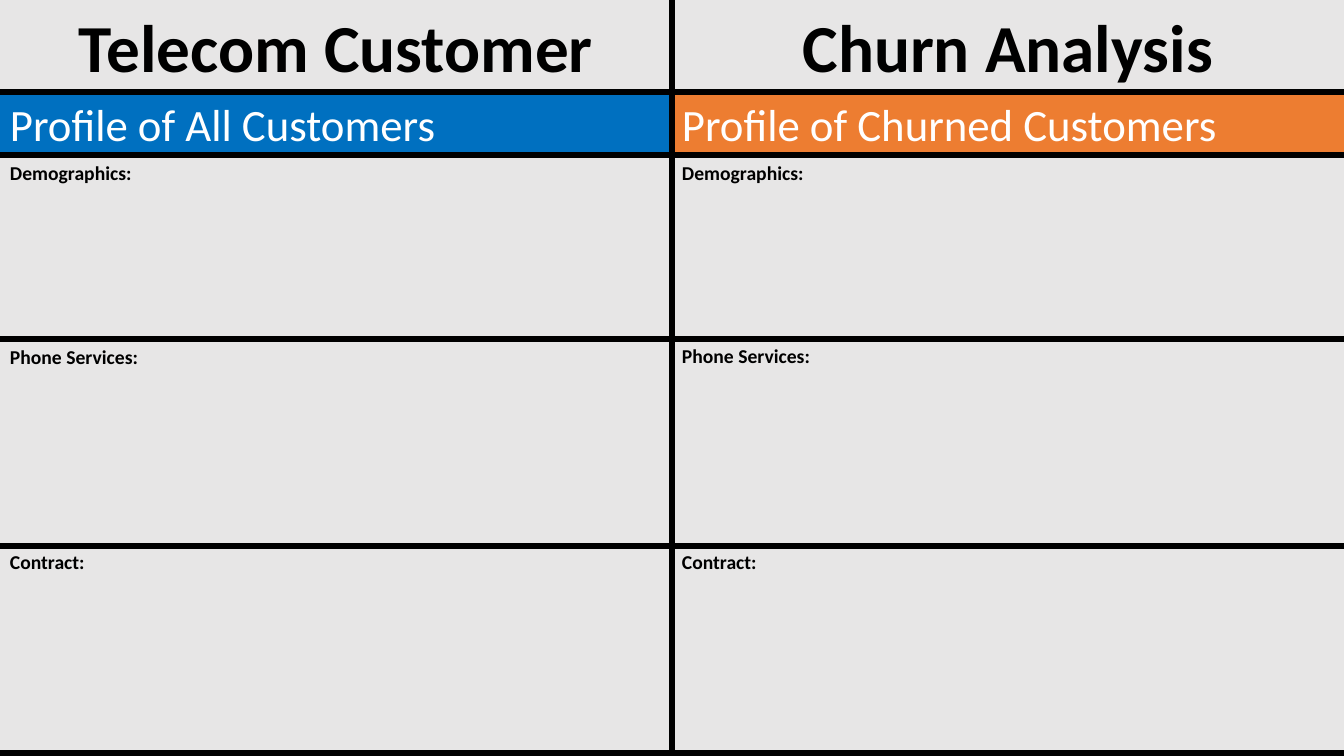
from dataclasses import dataclass

from lxml.etree import SubElement
from pptx import Presentation
from pptx.dml.color import RGBColor as RGB
from pptx.enum.shapes import MSO_CONNECTOR as Link, MSO_SHAPE as Kind
from pptx.enum.text import MSO_ANCHOR as Anchor, MSO_AUTO_SIZE as Fit, PP_ALIGN as Align
from pptx.oxml.ns import qn
from pptx.util import Pt

WIDE, HIGH = 1344, 756
HALF = WIDE // 2
SCALE = 12192000 / WIDE


@dataclass(frozen=True)
class Theme:
    font: str = "Calibri"
    back: RGB = RGB(0xE7, 0xE6, 0xE6)
    ink: RGB = RGB(0, 0, 0)
    light: RGB = RGB(0xFF, 0xFF, 0xFF)
    blue: RGB = RGB(0x00, 0x70, 0xC0)
    orange: RGB = RGB(0xED, 0x7D, 0x31)
    title: int = 48
    head: int = 32
    label: int = 14
    rule: float = 4.5


THEME = Theme()


def px(num):
    return round(num * SCALE)


def place(shape, left, top, width, height):
    shape.left, shape.top = px(left), px(top)
    shape.width, shape.height = px(width), px(height)


def write(shape, text, size, color, bold=True, align=Align.LEFT):
    frame = shape.text_frame
    frame.word_wrap = True
    frame.auto_size = Fit.SHAPE_TO_FIT_TEXT
    frame.vertical_anchor = Anchor.TOP
    para = frame.paragraphs[0]
    para.alignment = align
    run = para.add_run()
    run.text = text
    font = run.font
    font.name, font.size, font.bold = THEME.font, Pt(size), bold
    font.color.rgb = color


def add_panel(slide, left, top, width, height, fill):
    panel = slide.shapes.add_shape(
        Kind.RECTANGLE, px(left), px(top), px(width), px(height))
    panel.shadow.inherit = False
    panel.fill.solid()
    panel.fill.fore_color.rgb = fill
    panel.line.fill.background()
    return panel


def add_text(slide, left, top, height, text, size, align=Align.LEFT):
    box = slide.shapes.add_textbox(px(left), px(top), px(HALF), px(height))
    write(box, text, size, THEME.ink, align=align)


def add_rule(slide, left, top, right, bottom):
    rule = slide.shapes.add_connector(
        Link.STRAIGHT, px(left), px(top), px(right), px(bottom))
    rule.line.color.rgb = THEME.ink
    rule.line.width = Pt(THEME.rule)
    SubElement(rule.element.spPr, qn("a:effectLst"))


def main():
    deck = Presentation()
    deck.slide_width, deck.slide_height = px(WIDE), px(HIGH)
    slide = deck.slides.add_slide(deck.slide_layouts[5])

    title = slide.shapes.title
    back = add_panel(slide, 0, 0, WIDE, HIGH, THEME.back)
    title.element.addprevious(back.element)
    place(title, 0, 0, HALF, 92)
    write(title, "Telecom Customer", THEME.title, THEME.ink, align=Align.CENTER)
    add_text(slide, HALF, 0, 92, "Churn Analysis", THEME.title, Align.CENTER)

    heads = (("Profile of All Customers", THEME.blue),
             ("Profile of Churned Customers", THEME.orange))
    for col, (text, fill) in enumerate(heads):
        panel = add_panel(slide, col * HALF, 92, HALF, 64, fill)
        write(panel, text, THEME.head, THEME.light, bold=False)

    add_rule(slide, HALF, 0, HALF, HIGH)
    for top in (92, 155, 339, 546, 753):
        add_rule(slide, 0, top, WIDE, top)

    labels = (("Demographics:", (156, 156)),
              ("Phone Services:", (340, 339)),
              ("Contract:", (545, 545)))
    for text, tops in labels:
        for col, top in enumerate(tops):
            add_text(slide, col * HALF, top, 34, text, THEME.label)

    deck.save("out.pptx")


if __name__ == "__main__":
    main()
